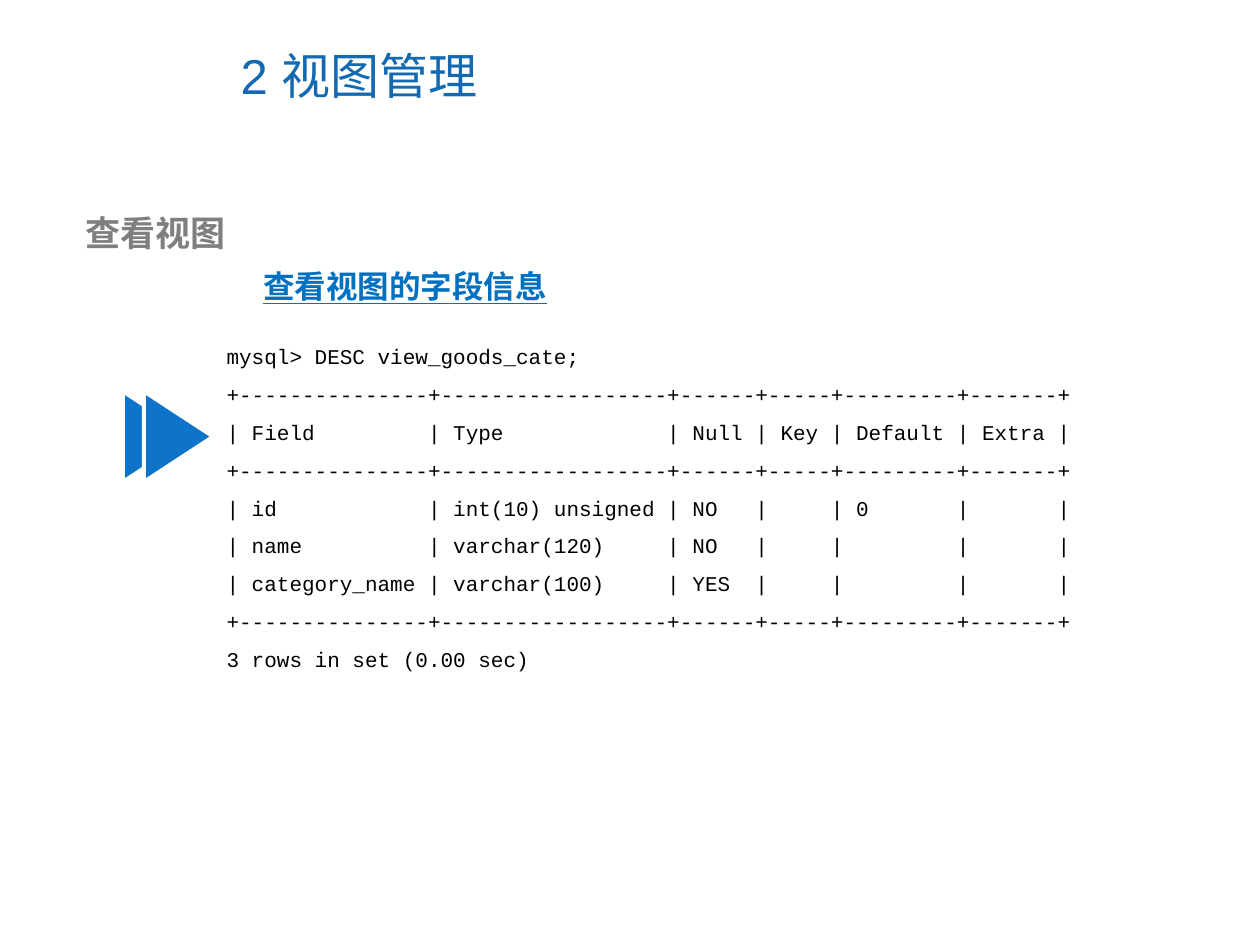
from lxml.etree import SubElement
from pptx import Presentation
from pptx.dml.color import RGBColor
from pptx.enum.shapes import MSO_SHAPE
from pptx.enum.text import MSO_ANCHOR, PP_ALIGN
from pptx.oxml.ns import qn
from pptx.util import Pt

TITLE_BLUE = RGBColor(0x13, 0x69, 0xB2)
LINK_BLUE = RGBColor(0x00, 0x70, 0xC0)
ARROW_BLUE = RGBColor(0x0D, 0x74, 0xC9)
GRAY = RGBColor(0x7F, 0x7F, 0x7F)
BLACK = RGBColor(0, 0, 0)
WHITE = RGBColor(0xFF, 0xFF, 0xFF)

COLUMN_WIDTHS = (13, 16, 4, 3, 7, 5)
HEADER = ("Field", "Type", "Null", "Key", "Default", "Extra")
FIELDS = (
    ("id", "int(10) unsigned", "NO", "", "0", ""),
    ("name", "varchar(120)", "NO", "", "", ""),
    ("category_name", "varchar(100)", "YES", "", "", ""),
)


def write_text(frame, text, size, color, font="Arial", bold=False,
               underline=False, spacing=1.0, wrap=True, indent=7.2):
    """Fill a text frame with one formatted paragraph per line of text."""
    frame.word_wrap = wrap
    frame.margin_left = Pt(indent)
    for index, line in enumerate(text.split("\n")):
        paragraph = frame.paragraphs[0] if index == 0 else frame.add_paragraph()
        paragraph.alignment = PP_ALIGN.LEFT
        paragraph.line_spacing = spacing
        run = paragraph.add_run()
        run.text = line
        run.font.size = Pt(size)
        run.font.bold = bold
        run.font.underline = underline
        run.font.color.rgb = color
        run.font.name = font
        east_asian = SubElement(run.font._element, qn("a:ea"))
        east_asian.set("typeface", "Noto Sans CJK SC")


def add_text(slide, left, top, width, height, text, **text_format):
    """Add a text box and write formatted text in it."""
    box = slide.shapes.add_textbox(Pt(left), Pt(top), Pt(width), Pt(height))
    write_text(box.text_frame, text, **text_format)


def console_output():
    """Compose the console listing of the view's fields."""
    def row(cells):
        padded = (cell.ljust(width) for cell, width in zip(cells, COLUMN_WIDTHS))
        return "| " + " | ".join(padded) + " |"

    rule = "+" + "+".join("-" * (width + 2) for width in COLUMN_WIDTHS) + "+"
    return "\n".join([
        "mysql> DESC view_goods_cate;",
        rule, row(HEADER), rule, *map(row, FIELDS), rule,
        "3 rows in set (0.00 sec)",
    ])


def place_title(slide, left, top, width, height):
    """Move and format the title placeholder."""
    title = slide.shapes.title
    title.left, title.top = Pt(left), Pt(top)
    title.width, title.height = Pt(width), Pt(height)
    title.text_frame.vertical_anchor = MSO_ANCHOR.MIDDLE
    write_text(title.text_frame, "2 视图管理", size=28, color=TITLE_BLUE)


def add_headings(slide, left, top, width):
    """Add the section heading and the underlined heading below it."""
    add_text(slide, left, top, width, 31.5, "查看视图",
             size=20, color=GRAY, bold=True, indent=15)
    add_text(slide, left + 109.5, top + 31.7, 176.4, 29, "查看视图的字段信息",
             size=18, color=LINK_BLUE, bold=True, underline=True, wrap=False)


def add_double_arrow(slide, left, top, width, height):
    """Add two overlapping triangles that point right."""
    for step in range(2):
        arrow = slide.shapes.add_shape(
            MSO_SHAPE.ISOSCELES_TRIANGLE,
            Pt(left + step * 12), Pt(top), Pt(width), Pt(height))
        arrow.rotation = 90
        arrow.shadow.inherit = False
        arrow.fill.solid()
        arrow.fill.fore_color.rgb = ARROW_BLUE
        arrow.line.color.rgb = WHITE
        arrow.line.width = Pt(2.25)


def main():
    """Build the slide and save it."""
    deck = Presentation()
    deck.slide_width, deck.slide_height = Pt(720), Pt(540)
    slide = deck.slides.add_slide(deck.slide_layouts[5])
    place_title(slide, 130.3, 12.2, 371.5, 61.2)
    add_headings(slide, 33.8, 117.4, 370)
    add_text(slide, 122.4, 185.8, 535.7, 201.6, console_output(),
             size=12, color=BLACK, font="Courier New", spacing=1.5)
    add_double_arrow(slide, 64.1, 229.7, 51.8, 39.6)
    deck.save("out.pptx")


if __name__ == "__main__":
    main()
